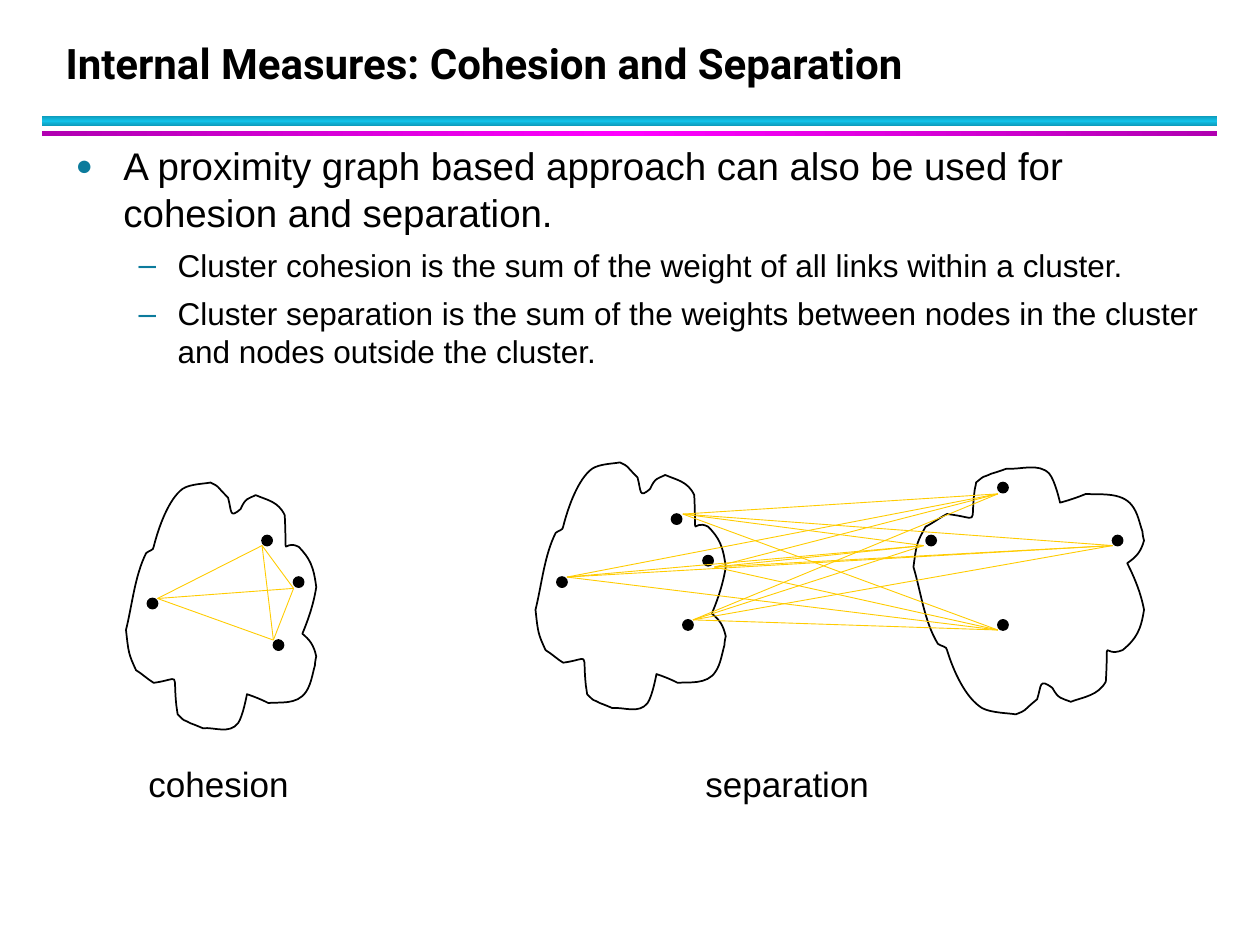
"""Build a slide on cluster cohesion and separation as a proximity graph."""
from copy import deepcopy
from itertools import combinations, product
from typing import NamedTuple

from lxml import etree
from pptx import Presentation
from pptx.dml.color import RGBColor
from pptx.enum.shapes import MSO_CONNECTOR, MSO_SHAPE
from pptx.enum.text import MSO_ANCHOR, MSO_AUTO_SIZE, PP_ALIGN
from pptx.oxml.ns import qn
from pptx.util import Emu, Pt

BLACK = RGBColor(0x00, 0x00, 0x00)
GOLD = RGBColor(0xFF, 0xCC, 0x00)
TEAL = RGBColor(0x0C, 0x7B, 0x9C)
DARK_CYAN, CYAN = RGBColor(0x0E, 0x9A, 0xB9), RGBColor(0x12, 0xC2, 0xE9)
PURPLE, MAGENTA = RGBColor(0xB1, 0x00, 0xB1), RGBColor(0xFF, 0x00, 0xFF)
RECTANGLE, OVAL = MSO_SHAPE.RECTANGLE, MSO_SHAPE.OVAL
STRAIGHT = MSO_CONNECTOR.STRAIGHT
LEFT, BOTTOM, TOP = PP_ALIGN.LEFT, MSO_ANCHOR.BOTTOM, MSO_ANCHOR.TOP
NO_FIT, FIT_SHAPE = MSO_AUTO_SIZE.NONE, MSO_AUTO_SIZE.SHAPE_TO_FIT_TEXT
EMU_PER_PX = 9144
DOT_SIZE = 8
BLOB_WIDTH, BLOB_HEIGHT = 151, 200
BLOB_START = (16, 56)
BLOB_CURVES = [
    (7, 74, 5, 97, 0, 117), (2, 135, 2, 136, 8, 149), (13, 152, 17, 156, 22, 159),
    (44, 156, 37, 149, 40, 177), (40, 179, 41, 182, 41, 184), (48, 191, 44, 187, 51, 191),
    (54, 192, 61, 195, 61, 195), (70, 194, 82, 200, 89, 191), (93, 185, 96, 168, 96, 168),
    (102, 170, 107, 172, 113, 175), (121, 174, 136, 177, 143, 166),
    (147, 160, 148, 152, 150, 145), (150, 142, 151, 138, 151, 138),
    (149, 129, 146, 125, 140, 120), (145, 108, 149, 96, 151, 83), (149, 67, 146, 60, 137, 51),
    (123, 44, 128, 66, 126, 26), (121, 15, 112, 14, 103, 10), (97, 13, 95, 12, 91, 21),
    (82, 29, 84, 23, 81, 12), (70, 1, 75, 4, 67, 0), (63, 1, 51, 1, 45, 5),
    (34, 13, 26, 35, 22, 51), (22, 54, 18, 54, 16, 56),
]


class Node(NamedTuple):
    """A dot's corner and the point where its links meet."""
    left: int
    top: int
    link_x: int
    link_y: int


class Cluster(NamedTuple):
    """A blob outline with its nodes."""
    left: int
    top: int
    width: int
    flipped: bool
    nodes: list[Node]


class Bar(NamedTuple):
    """A rule under the title, shaded from edge to middle."""
    top: int
    height: int
    edge: RGBColor
    middle: RGBColor
    angle: int


class Bullet(NamedTuple):
    """A bulleted paragraph."""
    text: str
    level: int
    mark: str
    mark_percent: int
    margin: int
    hanging: int
    size: int
    before: float


BARS = [Bar(92, 8, DARK_CYAN, CYAN, 90), Bar(104, 4, PURPLE, MAGENTA, 0)]
BULLETS = [
    Bullet("A proximity graph based approach can also be used for cohesion and separation.",
           0, "●", 75, 38, 38, 22, 0),
    Bullet("Cluster cohesion is the sum of the weight of all links within a cluster.",
           1, "–", 100, 81, 31, 18, 2.2),
    Bullet("Cluster separation is the sum of the weights between nodes in the cluster "
           "and nodes outside the cluster.", 1, "–", 100, 81, 31, 18, 2.2),
]
COHESION = Cluster(100, 383, BLOB_WIDTH, False, [
    Node(217, 508, 217, 508), Node(208, 425, 208, 433),
    Node(117, 475, 125, 475), Node(233, 458, 233, 467)])
INSIDE = Cluster(425, 367, BLOB_WIDTH, False, [
    Node(542, 492, 550, 492), Node(533, 408, 542, 408),
    Node(442, 458, 450, 458), Node(558, 441, 567, 450)])
OUTSIDE = Cluster(725, 367, 183, True, [
    Node(883, 425, 883, 433), Node(735, 425, 733, 433),
    Node(792, 492, 792, 500), Node(792, 383, 792, 392)])


def px(length: float) -> Emu:
    """Turn px into EMU."""
    return Emu(round(length * EMU_PER_PX))


def place(shape, left: int, top: int, width: int, height: int) -> None:
    """Move and size a shape."""
    shape.left, shape.top, shape.width, shape.height = map(px, (left, top, width, height))


def add_span(para, text: str, size: int, name: str = "Arial", bold: bool = False) -> None:
    """Add one formatted run."""
    span = para.add_run()
    span.text = text
    span.font.size, span.font.name, span.font.bold = Pt(size), name, bold
    span.font.color.rgb = BLACK


def draw_bar(page, bar: Bar) -> None:
    """Draw a three-stop gradient rule."""
    shape = page.shapes.add_shape(RECTANGLE, px(33), px(bar.top), px(933), px(bar.height))
    shape.shadow.inherit = False
    shape.line.fill.background()
    shape.fill.gradient()
    shape.fill.gradient_angle = bar.angle
    stop_list = shape._element.spPr.find(qn("a:gradFill")).find(qn("a:gsLst"))
    stop_list.append(deepcopy(stop_list[0]))
    colors = (bar.edge, bar.middle, bar.edge)
    for stop, position, color in zip(shape.fill.gradient_stops, (0, 0.5, 1), colors):
        stop.position, stop.color.rgb = position, color


def write_title(page) -> None:
    """Fill the title placeholder."""
    title = page.shapes.title
    place(title, 42, 17, 906, 58)
    frame = title.text_frame
    frame.vertical_anchor, frame.auto_size, frame.word_wrap = BOTTOM, NO_FIT, True
    para = frame.paragraphs[0]
    para.alignment, para.line_spacing = LEFT, Pt(36)
    add_span(para, "Internal Measures: Cohesion and Separation", 24, "Roboto", True)


def write_bullets(page) -> None:
    """Fill the body placeholder."""
    body = page.placeholders[1]
    place(body, 50, 108, 925, 583)
    frame = body.text_frame
    frame.vertical_anchor, frame.auto_size, frame.word_wrap = TOP, NO_FIT, True
    for index, bullet in enumerate(BULLETS):
        para = frame.add_paragraph() if index else frame.paragraphs[0]
        para.level = bullet.level
        para.space_before, para.space_after = Pt(bullet.before), Pt(4)
        properties = para._p.get_or_add_pPr()
        properties.set("marL", str(px(bullet.margin)))
        properties.set("indent", str(-px(bullet.hanging)))
        color = etree.SubElement(properties, qn("a:buClr"))
        etree.SubElement(color, qn("a:srgbClr"), val=str(TEAL))
        etree.SubElement(properties, qn("a:buSzPct"), val=str(bullet.mark_percent * 1000))
        etree.SubElement(properties, qn("a:buChar"), char=bullet.mark)
        add_span(para, bullet.text, bullet.size)


def draw_cluster(page, cluster: Cluster) -> None:
    """Draw a curved outline and its dots."""
    def spot(x: int, y: int) -> tuple[int, int]:
        down = BLOB_HEIGHT - y if cluster.flipped else y
        return px(cluster.left + x * cluster.width / BLOB_WIDTH), px(cluster.top + down)

    builder = page.shapes.build_freeform(*spot(*BLOB_START))
    builder.add_line_segments(
        [spot(*curve[i:i + 2]) for curve in BLOB_CURVES for i in (0, 2, 4)], close=True)
    blob = builder.convert_to_shape()
    segments = list(blob._element.iter(qn("a:lnTo")))
    for first in range(0, len(segments), 3):
        curve = etree.Element(qn("a:cubicBezTo"))
        segments[first].addprevious(curve)
        for segment in segments[first:first + 3]:
            curve.append(segment[0])
            segment.getparent().remove(segment)
    blob.fill.background()
    dots = [page.shapes.add_shape(OVAL, px(node.left), px(node.top), px(DOT_SIZE), px(DOT_SIZE))
            for node in cluster.nodes]
    for dot in dots:
        dot.fill.solid()
        dot.fill.fore_color.rgb = BLACK
    for shape in (blob, *dots):
        shape.shadow.inherit = False
        shape.line.color.rgb, shape.line.width = BLACK, Pt(1)


def draw_link(page, start: Node, end: Node) -> None:
    """Draw a thin line between two nodes."""
    link = page.shapes.add_connector(
        STRAIGHT, px(start.link_x), px(start.link_y), px(end.link_x), px(end.link_y))
    link.line.color.rgb, link.line.width = GOLD, Pt(0.5)
    etree.SubElement(link._element.spPr, qn("a:effectLst"))


def write_caption(page, text: str, left: int, width: int) -> None:
    """Name a diagram."""
    box = page.shapes.add_textbox(px(left), px(600), px(width), px(44))
    box.text_frame.word_wrap, box.text_frame.auto_size = False, FIT_SHAPE
    add_span(box.text_frame.paragraphs[0], text, 20)


def main() -> None:
    """Build and save the deck."""
    deck = Presentation()
    deck.slide_width, deck.slide_height = px(1000), px(750)
    page = deck.slides.add_slide(deck.slide_layouts[1])
    for bar in BARS:
        draw_bar(page, bar)
    write_bullets(page)
    write_title(page)
    for cluster in (INSIDE, OUTSIDE, COHESION):
        draw_cluster(page, cluster)
    links = [*product(INSIDE.nodes, OUTSIDE.nodes), *combinations(COHESION.nodes, 2)]
    for start, end in links:
        draw_link(page, start, end)
    write_caption(page, "cohesion", 108, 136)
    write_caption(page, "separation", 550, 152)
    deck.save("out.pptx")


if __name__ == "__main__":
    main()
